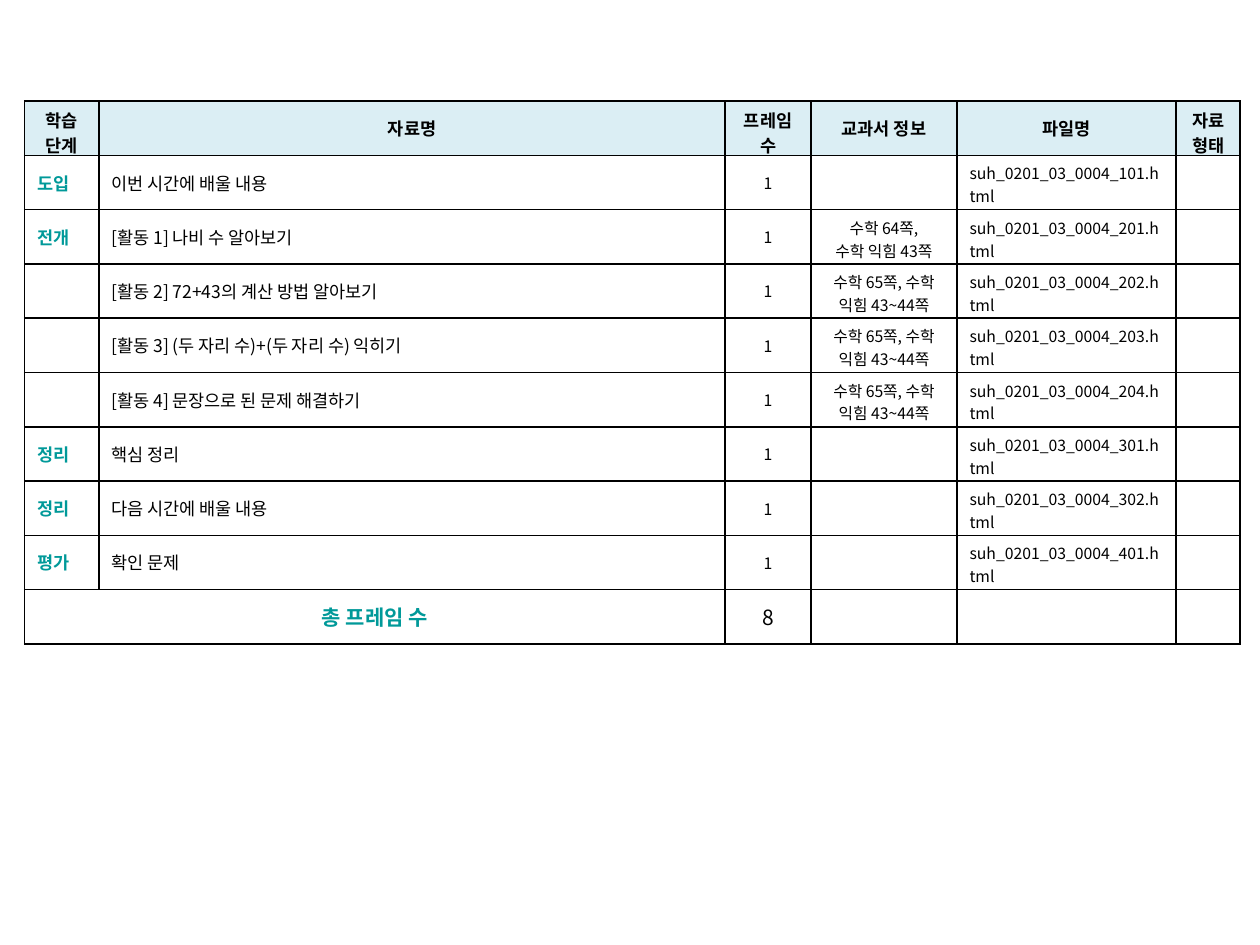
from lxml import etree
from pptx import Presentation
from pptx.dml.color import RGBColor
from pptx.enum.text import MSO_ANCHOR, PP_ALIGN
from pptx.oxml.ns import qn
from pptx.util import Pt

CENTER, LEFT, JUSTIFY = PP_ALIGN.CENTER, PP_ALIGN.LEFT, PP_ALIGN.JUSTIFY
MIDDLE, TOP = MSO_ANCHOR.MIDDLE, MSO_ANCHOR.TOP
FONT = "Noto Sans CJK KR"
BLACK, TEAL, HEADER_FILL = "000000", "009999", "DBEEF4"
COL_WIDTHS = [42.5, 357.9, 49, 83.5, 125.2, 36.7]
HEADERS = ["학습 단계", "자료명", "프레임 수", "교과서 정보", "파일명", "자료\n형태"]
TWO_LINE_HEADERS = (0, 2, 5)
PAGES_65 = "수학 65쪽, 수학 익힘 43~44쪽"
LESSONS = [
    ("도입", "이번 시간에 배울 내용", "", "101"),
    ("전개", "[활동 1] 나비 수 알아보기", "수학 64쪽,\n수학 익힘 43쪽", "201"),
    ("", "[활동 2] 72+43의 계산 방법 알아보기", PAGES_65, "202"),
    ("", "[활동 3] (두 자리 수)+(두 자리 수) 익히기", PAGES_65, "203"),
    ("", "[활동 4] 문장으로 된 문제 해결하기", PAGES_65, "204"),
    ("정리", "핵심 정리", "", "301"),
    ("정리", "다음 시간에 배울 내용", "", "302"),
    ("평가", "확인 문제", "", "401"),
]
LESSON_STYLES = [
    (10, TEAL, True, JUSTIFY),
    (10, BLACK, False, LEFT),
    (9, BLACK, False, CENTER),
    (9, BLACK, False, CENTER),
    (9, BLACK, False, LEFT),
    (9, BLACK, False, LEFT),
]
TWO_LINE_COLUMNS = (3, 4)


def rgb(value):
    return RGBColor.from_string(value)


def set_borders(cell, color=BLACK, width=1):
    tc_pr = cell._tc.get_or_add_tcPr()
    for i, side in enumerate(("lnL", "lnR", "lnT", "lnB")):
        ln = etree.Element(qn(f"a:{side}"), w=str(Pt(width)))
        fill = etree.SubElement(ln, qn("a:solidFill"))
        etree.SubElement(fill, qn("a:srgbClr"), val=color)
        tc_pr.insert(i, ln)


def set_cell(cell, text, size, color, bold, align):
    cell.vertical_anchor = MIDDLE
    cell.text_frame.text = text
    for p in cell.text_frame.paragraphs:
        p.alignment = align
        if not p.runs:
            etree.SubElement(p._p, qn("a:endParaRPr"), sz=str(size * 100))
        for r in p.runs:
            r.font.size = Pt(size)
            r.font.bold = bold
            r.font.name = FONT
            r.font.color.rgb = rgb(color)
            r.font._element.set("kern", "0")
            ea = etree.SubElement(r.font._element, qn("a:ea"))
            ea.set("typeface", FONT)


def fit_two_lines(cell, bottom):
    cell.vertical_anchor = TOP
    cell.margin_bottom = Pt(bottom)


def add_lesson_table(slide, left, top, width, height):
    rows = len(LESSONS) + 2
    frame = slide.shapes.add_table(
        rows, len(HEADERS), Pt(left), Pt(top), Pt(width), Pt(height))
    table = frame.table
    for column, col_width in zip(table.columns, COL_WIDTHS):
        column.width = Pt(col_width * width / sum(COL_WIDTHS))
    for row in table.rows:
        row.height = Pt(height / rows)
    for cell in table.iter_cells():
        cell.fill.background()
        set_borders(cell)

    for c, text in enumerate(HEADERS):
        cell = table.cell(0, c)
        cell.fill.solid()
        cell.fill.fore_color.rgb = rgb(HEADER_FILL)
        set_cell(cell, text, 10, BLACK, True, CENTER)
        if c in TWO_LINE_HEADERS:
            fit_two_lines(cell, -2)

    for i, (stage, title, pages, number) in enumerate(LESSONS, 1):
        values = [stage, title, "1", pages, f"suh_0201_03_0004_{number}.html", ""]
        for c, (text, style) in enumerate(zip(values, LESSON_STYLES)):
            set_cell(table.cell(i, c), text, *style)
            if c in TWO_LINE_COLUMNS:
                fit_two_lines(table.cell(i, c), 0)

    last = rows - 1
    table.cell(last, 0).merge(table.cell(last, 1))
    set_cell(table.cell(last, 0), "총 프레임 수", 12, TEAL, True, CENTER)
    set_cell(table.cell(last, 2), str(len(LESSONS)), 12, BLACK, False, CENTER)
    for c in (1, 3, 4, 5):
        set_cell(table.cell(last, c), "", 9, BLACK, False, LEFT)


def main():
    prs = Presentation()
    prs.slide_width, prs.slide_height = Pt(720), Pt(540)
    slide = prs.slides.add_slide(prs.slide_layouts[6])
    add_lesson_table(slide, 14, 57.8, 694.8, 310.3)
    prs.save("out.pptx")


if __name__ == "__main__":
    main()
